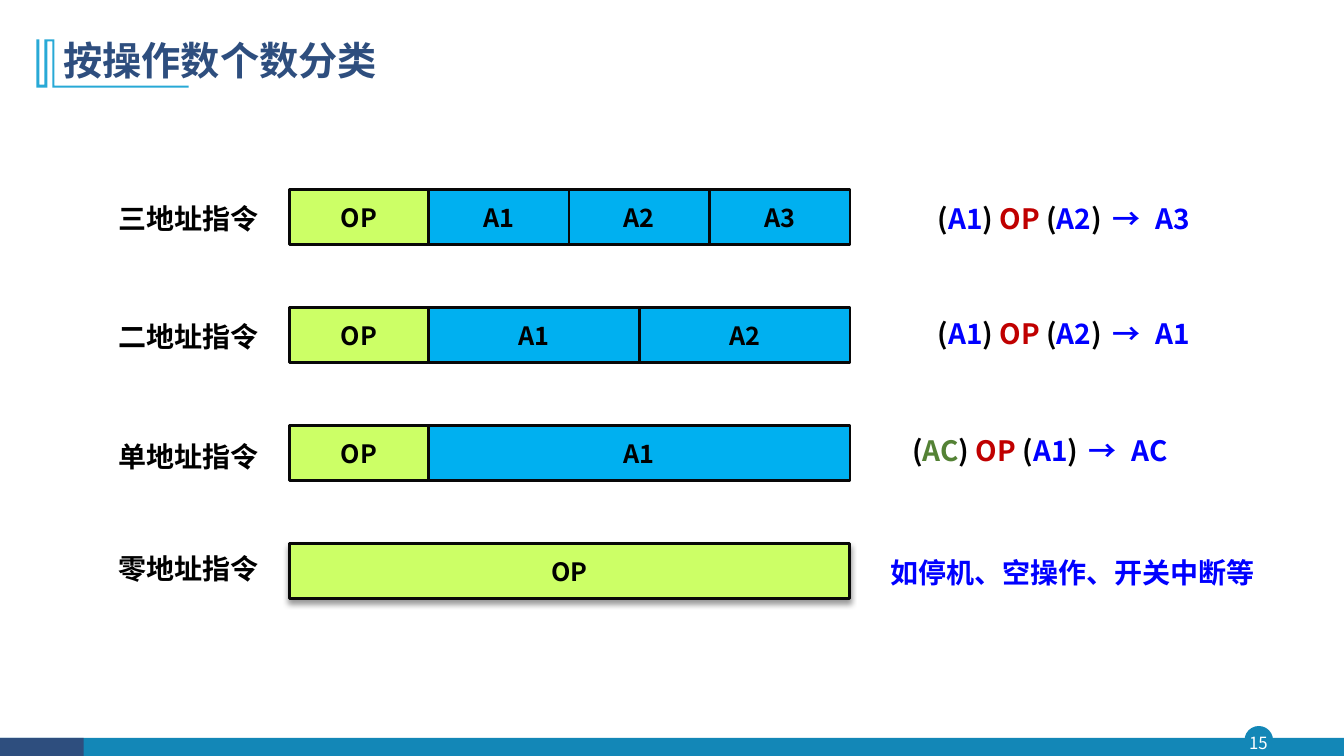
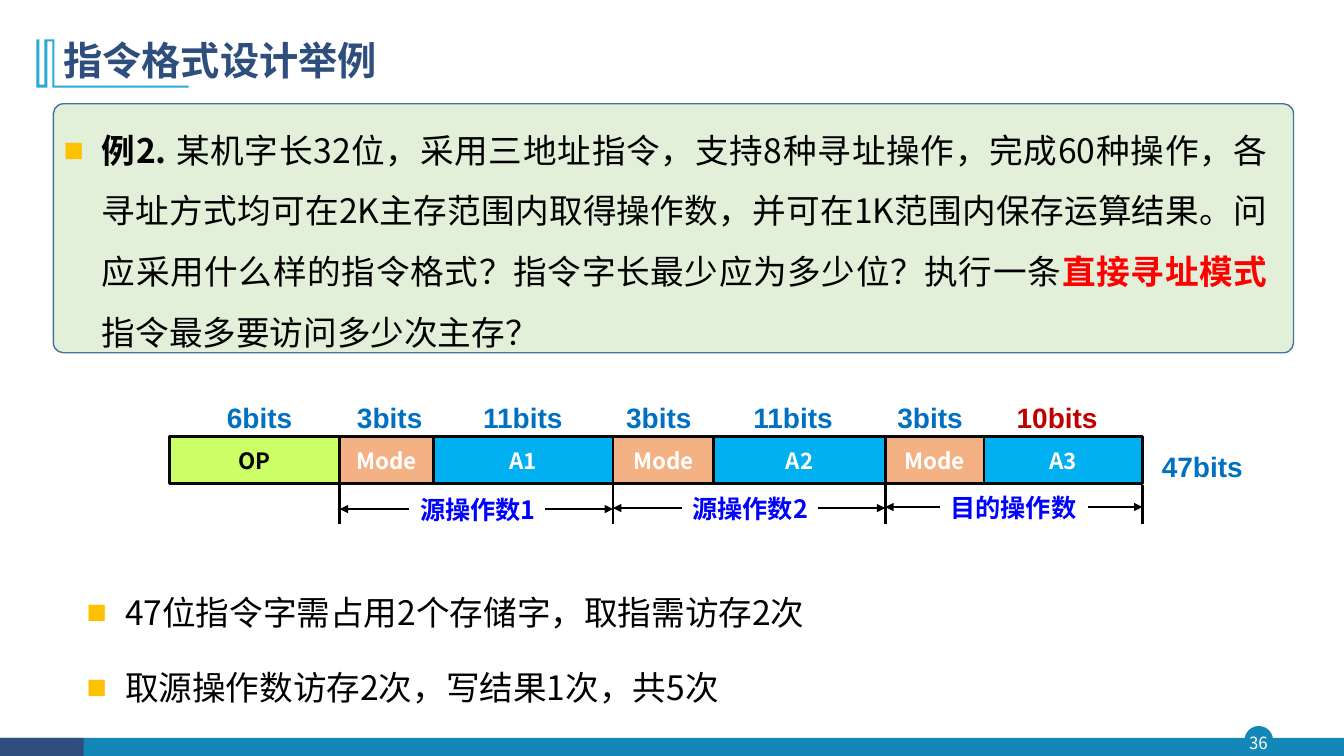
"""Build two slides on instruction formats by number of address operands."""
from dataclasses import dataclass
from itertools import accumulate

from lxml.etree import SubElement
from pptx import Presentation
from pptx.dml.color import RGBColor
from pptx.enum.shapes import MSO_CONNECTOR as CONN, MSO_SHAPE as SHAPE
from pptx.enum.text import MSO_ANCHOR as ANCHOR, MSO_AUTO_SIZE as AUTO, PP_ALIGN as ALIGN
from pptx.oxml.ns import qn
from pptx.util import Inches, Pt

NAVY = RGBColor(0x2E, 0x4E, 0x7E)
TEAL = RGBColor(0x13, 0x87, 0xB7)
CYAN = RGBColor(0x28, 0xA9, 0xD6)
LIME = RGBColor(0xCC, 0xFF, 0x66)
SKY = RGBColor(0x00, 0xB0, 0xF0)
PEACH = RGBColor(0xF4, 0xB1, 0x83)
MINT = RGBColor(0xE2, 0xF0, 0xD9)
STEEL = RGBColor(0x43, 0x73, 0x9E)
GOLD = RGBColor(0xFF, 0xC0, 0x00)
BLUE = RGBColor(0x00, 0x00, 0xFF)
BIT_BLUE = RGBColor(0x00, 0x70, 0xC0)
DARK_RED = RGBColor(0xC0, 0x00, 0x00)
RED = RGBColor(0xFF, 0x00, 0x00)
GREEN = RGBColor(0x54, 0x82, 0x35)
INK = RGBColor(0x08, 0x08, 0x08)
BLACK = RGBColor(0x00, 0x00, 0x00)
WHITE = RGBColor(0xFF, 0xFF, 0xFF)
SANS, SANS_JP, ARIAL = "Noto Sans CJK SC", "Noto Sans CJK JP", "Arial"
ORNAMENT = ((0.54, 0.39), (0.54, 0.85), (1.87, 0.85), (1.87, 0.87), (0.52, 0.87),
            (0.52, 0.41), (0.47, 0.41), (0.47, 0.87), (0.36, 0.87), (0.36, 0.39),
            (0.39, 0.39), (0.39, 0.84), (0.44, 0.84), (0.44, 0.39))


@dataclass(frozen=True)
class Part:
    """A stretch of text with its own look."""
    text: str
    color: RGBColor = BLACK
    bold: bool = True
    spacing: int = 0


@dataclass(frozen=True)
class Instruction:
    """One row: label, address fields and meaning."""
    label: str
    label_top: float
    addresses: tuple
    meaning: tuple
    meaning_left: float
    meaning_top: float


@dataclass(frozen=True)
class Field:
    """One field of the instruction word."""
    name: str
    width: float
    fill: RGBColor
    bits: str
    bits_center: float
    color: RGBColor = WHITE
    bits_color: RGBColor = BIT_BLUE


@dataclass(frozen=True)
class Operand:
    """A dimension below the fields of one operand."""
    name: str
    left: float
    right: float
    text_center: float
    inner_left: float
    inner_right: float
    y: float


def formula(first: str, first_color: RGBColor, second: str, target: str) -> tuple:
    """Return the parts of an expression such as (A1) OP (A2) → A3."""
    return (Part("("), Part(first, first_color), Part(") "), Part("OP", DARK_RED), Part(" ("),
            Part(second, BLUE), Part(")"), Part(" → ", BLUE, spacing=300), Part(target, BLUE))


INSTRUCTIONS = (
    Instruction("三地址指令", 1.95, ("A1", "A2", "A3"), formula("A1", BLUE, "A2", "A3"), 9.2, 1.95),
    Instruction("二地址指令", 3.12, ("A1", "A2"), formula("A1", BLUE, "A2", "A1"), 9.2, 3.09),
    Instruction("单地址指令", 4.31, ("A1",), formula("AC", GREEN, "A1", "AC"), 8.95, 4.25),
    Instruction("零地址指令", 5.42, (), (Part("如停机、空操作、开关中断等", BLUE),), 8.73, 5.46),
)
FIELDS = (
    Field("OP", 1.69, LIME, "6bits", 2.57, color=BLACK),
    Field("Mode", 0.93, PEACH, "3bits", 3.86),
    Field("A1", 1.78, SKY, "11bits", 5.18),
    Field("Mode", 1.0, PEACH, "3bits", 6.53),
    Field("A2", 1.7, SKY, "11bits", 7.86),
    Field("Mode", 0.98, PEACH, "3bits", 9.22),
    Field("A3", 1.57, SKY, "10bits", 10.48, bits_color=DARK_RED),
)
OPERANDS = (
    Operand("源操作数1", 3.37, 6.08, 4.74, 4.06, 5.41, 5.05),
    Operand("源操作数2", 6.08, 8.78, 7.44, 6.76, 8.11, 5.04),
    Operand("目的操作数", 8.78, 11.33, 10.05, 9.32, 10.79, 5.03),
)
EXAMPLE = (
    Part("例2. "),
    Part("某机字长32位，采用三地址指令，支持8种寻址操作，完成60种操作，"
         "各寻址方式均可在2K主存范围内取得操作数，并可在1K范围内保存运算结果。"
         "问应采用什么样的指令格式？指令字长最少应为多少位？执行一条", bold=False),
    Part("直接寻址模式", RED),
    Part("指令最多要访问多少次主存？", bold=False),
)
ANSWERS = ("47位指令字需占用2个存储字，取指需访存2次", "取源操作数访存2次，写结果1次，共5次")


def write(p, text, *, size: float, color: RGBColor = BLACK, bold: bool = True,
          font: str = SANS, align=ALIGN.LEFT) -> None:
    """Write a string or a tuple of parts into a paragraph."""
    p.alignment = align
    for part in (Part(text, color, bold),) if isinstance(text, str) else text:
        r = p.add_run()
        r.text = part.text
        r.font.name, r.font.size, r.font.bold = font, Pt(size), part.bold
        r.font.color.rgb = part.color
        rpr = r.font._element
        SubElement(rpr, qn("a:ea")).set("typeface", font)
        if part.spacing:
            rpr.set("spc", str(part.spacing))


def place(sp, left: float, top: float, width: float, height: float) -> None:
    """Move and size a shape, in inches."""
    sp.left, sp.top, sp.width, sp.height = map(Inches, (left, top, width, height))


def add_label(s, text, left: float, top: float, width: float, height: float, **fmt):
    """Add a text box with its text in the vertical middle."""
    sp = s.shapes.add_textbox(*map(Inches, (left, top, width, height)))
    tf = sp.text_frame
    tf.word_wrap, tf.vertical_anchor = True, ANCHOR.MIDDLE
    write(tf.paragraphs[0], text, **fmt)
    return sp


def paint(sp, fill: RGBColor, line: RGBColor | None = None, weight: float = 1) -> None:
    """Set fill and outline and drop the shadow."""
    sp.shadow.inherit = False
    sp.fill.solid()
    sp.fill.fore_color.rgb = fill
    if line is None:
        sp.line.fill.background()
    else:
        sp.line.color.rgb, sp.line.width = line, Pt(weight)


def add_box(s, kind, left: float, top: float, width: float, height: float, fill: RGBColor,
            line: RGBColor | None = None, weight: float = 1):
    """Add a preset shape."""
    sp = s.shapes.add_shape(kind, *map(Inches, (left, top, width, height)))
    paint(sp, fill, line, weight)
    return sp


def add_cell(s, text: str, left: float, top: float, width: float, height: float,
             fill: RGBColor, **fmt):
    """Add an outlined instruction field with centred text."""
    sp = add_box(s, SHAPE.RECTANGLE, left, top, width, height, fill, INK, 2)
    sp.text_frame.vertical_anchor = ANCHOR.MIDDLE
    write(sp.text_frame.paragraphs[0], text, align=ALIGN.CENTER, **fmt)
    return sp


def add_line(s, x1: float, y1: float, x2: float, y2: float, weight: float,
             arrow: bool = False) -> None:
    """Add a straight black line, with an arrowhead at its end if asked."""
    c = s.shapes.add_connector(CONN.STRAIGHT, *map(Inches, (x1, y1, x2, y2)))
    c.line.color.rgb, c.line.width = BLACK, Pt(weight)
    if arrow:
        SubElement(c.line._get_or_add_ln(), qn("a:tailEnd")).set("type", "triangle")
    SubElement(c._element.spPr, qn("a:effectLst"))


def add_shadow(sp) -> None:
    """Give a shape a soft shadow below it."""
    effects = sp._element.spPr.find(qn("a:effectLst"))
    shadow = SubElement(effects, qn("a:outerShdw"), blurRad=str(Pt(4)), dist=str(Pt(3)),
                        dir="5400000", algn="t", rotWithShape="0")
    color = SubElement(shadow, qn("a:srgbClr"), val="000000")
    SubElement(color, qn("a:alpha"), val="40000")


def add_bullets(sp, items, left: float, top: float, width: float, height: float) -> None:
    """Fill a body placeholder with square-bulleted paragraphs above the other shapes."""
    place(sp, left, top, width, height)
    tf = sp.text_frame
    tf.auto_size, tf.vertical_anchor = AUTO.NONE, ANCHOR.TOP
    for i, item in enumerate(items):
        p = tf.add_paragraph() if i else tf.paragraphs[0]
        p.line_spacing, p.space_before = Pt(43.5), Pt(10 if i else 0)
        ppr = p._p.get_or_add_pPr()
        ppr.set("marL", str(Inches(0.38)))
        ppr.set("indent", str(Inches(-0.38)))
        SubElement(SubElement(ppr, qn("a:buClr")), qn("a:srgbClr"), val=str(GOLD))
        SubElement(ppr, qn("a:buFont"), typeface=ARIAL)
        SubElement(ppr, qn("a:buChar"), char="■")
        write(p, item, size=24, bold=False, align=ALIGN.JUSTIFY)
    sp.element.getparent().append(sp.element)


def add_slide(prs, layout: int, title: str, number: int, font: str = SANS):
    """Add a slide with the shared title, ornament, footer band and page number."""
    s = prs.slides.add_slide(prs.slide_layouts[layout])
    for sp in list(s.placeholders):
        if sp.placeholder_format.idx not in (0, 1, 2):
            sp.element.getparent().remove(sp.element)
    add_box(s, SHAPE.OVAL, 12.35, 7.21, 0.27, 0.27, TEAL, TEAL)
    add_box(s, SHAPE.RECTANGLE, 0, 7.32, 13.33, 0.18, TEAL)
    add_box(s, SHAPE.RECTANGLE, 0, 7.32, 0.83, 0.18, NAVY)
    tf = add_label(s, str(number), 12.32, 7.21, 0.32, 0.31, size=12, color=WHITE, bold=False,
                   align=ALIGN.CENTER).text_frame
    tf.margin_left = tf.margin_right = tf.margin_top = tf.margin_bottom = 0
    start, *rest = [(Inches(x), Inches(y)) for x, y in ORNAMENT]
    outline = s.shapes.build_freeform(*start)
    outline.add_line_segments(rest, close=True)
    paint(outline.convert_to_shape(), CYAN)
    sp = s.shapes.title
    place(sp, 0.53, 0.28, 11.5, 0.68)
    tf = sp.text_frame
    tf.auto_size, tf.vertical_anchor = AUTO.NONE, ANCHOR.MIDDLE
    tf.paragraphs[0].line_spacing = 0.9
    write(tf.paragraphs[0], title, size=28, color=NAVY, font=font)
    sp.element.getparent().append(sp.element)
    return s


def build_classes(prs) -> None:
    """Build the slide that sorts instructions by operand count."""
    s = add_slide(prs, 5, "按操作数个数分类", 15, SANS_JP)
    left, op_width, rest, height = 2.87, 1.38, 4.18, 0.55
    for i, row in enumerate(INSTRUCTIONS):
        top = 1.88 + 1.17 * i
        add_label(s, row.label, 1.08, row.label_top, 1.63, 0.44, size=20)
        count = len(row.addresses)
        op = add_cell(s, "OP", left, top, op_width if count else op_width + rest, height,
                      LIME, size=18)
        if not count:
            add_shadow(op)
        for j, name in enumerate(row.addresses):
            width = rest / count
            add_cell(s, name, left + op_width + j * width, top, width, height, SKY, size=18)
        add_label(s, row.meaning, row.meaning_left, row.meaning_top, 4, 0.44, size=20)


def build_example(prs) -> None:
    """Build the worked example of an instruction format."""
    s = add_slide(prs, 3, "指令格式设计举例", 36)
    panel = add_box(s, SHAPE.ROUNDED_RECTANGLE, 0.53, 1.03, 12.3, 2.47, MINT, STEEL)
    panel.adjustments[0] = 0.04
    add_bullets(s.placeholders[1], (EXAMPLE,), 0.53, 1.03, 12.14, 2.47)
    bits = dict(size=20, font=ARIAL, align=ALIGN.CENTER)
    lefts = accumulate((f.width for f in FIELDS), initial=1.68)
    for f, left in zip(FIELDS, lefts):
        add_cell(s, f.name, left, 4.33, f.width, 0.47, f.fill, size=16, color=f.color)
        add_label(s, f.bits, f.bits_center - 0.62, 3.92, 1.25, 0.44, color=f.bits_color, **bits)
    add_label(s, "47bits", 11.3, 4.41, 1.25, 0.44, color=BIT_BLUE, **bits)
    for x in (OPERANDS[0].left, *(o.right for o in OPERANDS)):
        add_line(s, x, 4.81, x, 5.2, 2)
    for o in OPERANDS:
        add_label(s, o.name, o.text_center - 0.8, o.y - 0.2, 1.6, 0.4, size=18, color=BLUE,
                  align=ALIGN.CENTER)
        for inner, edge in ((o.inner_left, o.left), (o.inner_right, o.right)):
            add_line(s, inner, o.y, edge, o.y, 1.5, arrow=True)
    add_bullets(s.placeholders[2], ANSWERS, 0.76, 5.62, 12.14, 1.41)


def main() -> None:
    """Build and save the presentation."""
    prs = Presentation()
    prs.slide_width, prs.slide_height = Inches(13.33), Inches(7.5)
    build_classes(prs)
    build_example(prs)
    prs.save("out.pptx")


if __name__ == "__main__":
    main()
